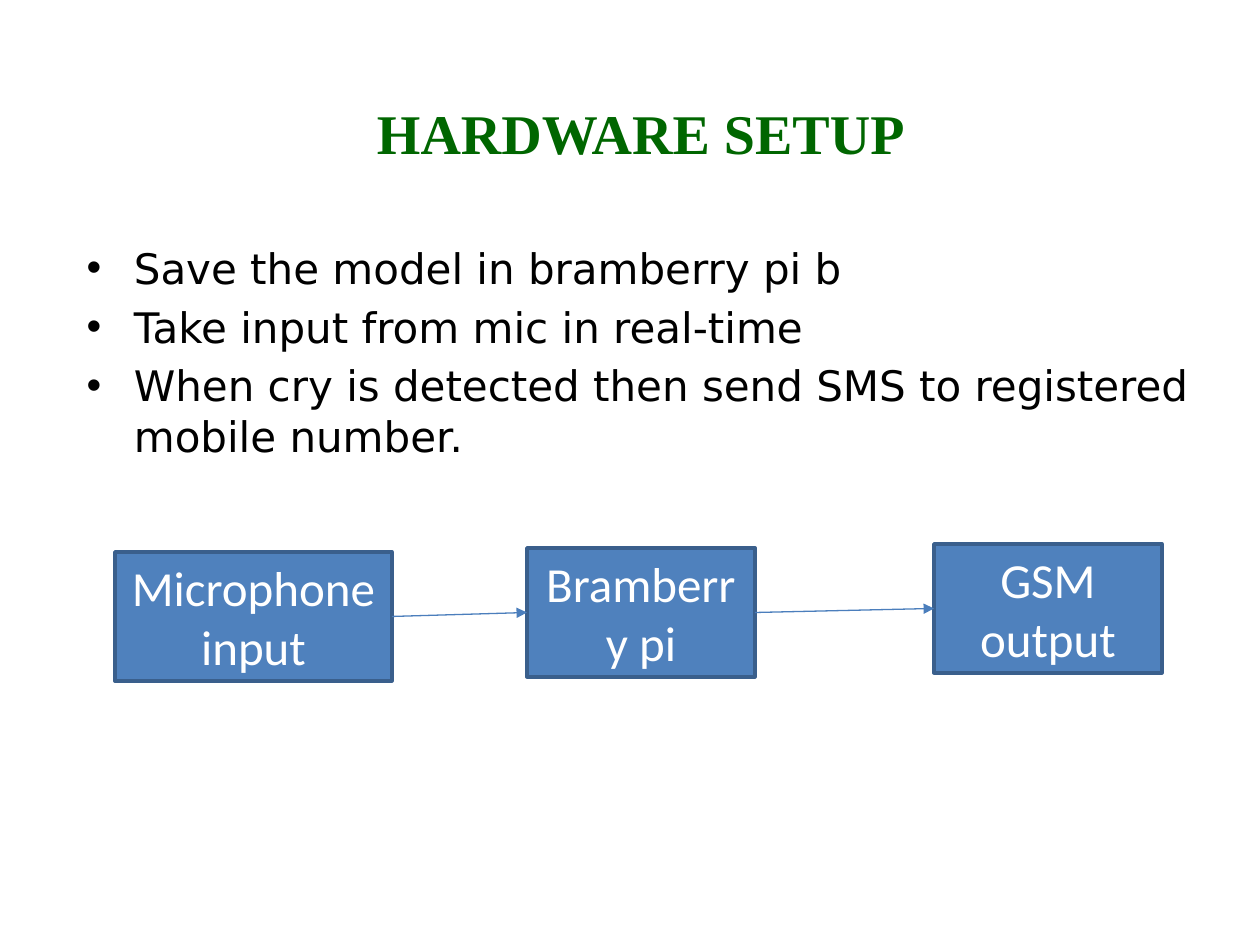
import pptx
import pptx.dml.color
import pptx.enum.shapes
import pptx.enum.text
import pptx.oxml
import pptx.oxml.ns
import pptx.util

EMU_PER_PX = 914400 / 126
COLORS = {
    "title": "006600",
    "body": "000000",
    "box": "4F81BD",
    "outline": "3A5F8C",
    "arrow": "4B7EBC",
    "label": "FFFFFF",
}
ALIGN = pptx.enum.text.PP_ALIGN
ANCHOR = pptx.enum.text.MSO_ANCHOR


def px(length):
    return pptx.util.Emu(round(length * EMU_PER_PX))


def color(name):
    return pptx.dml.color.RGBColor.from_string(COLORS[name])


def place(shape, box):
    shape.left, shape.top, shape.width, shape.height = map(px, box)


def write(para, text, *, font, size, fill, bold=False, align=None):
    span = para.add_run()
    span.text = text
    span.font.name = font
    span.font.size = pptx.util.Pt(size)
    span.font.bold = bold
    span.font.color.rgb = color(fill)
    para.alignment = align


def add_title(page, box, text):
    title = page.shapes.title
    place(title, box)
    title.text_frame.vertical_anchor = ANCHOR.MIDDLE
    write(title.text_frame.paragraphs[0], text, font="Times New Roman",
          size=32, fill="title", bold=True, align=ALIGN.CENTER)


def add_list(page, box, items):
    body = page.placeholders[1]
    place(body, box)
    frame = body.text_frame
    for index, item in enumerate(items):
        para = frame.add_paragraph() if index else frame.paragraphs[0]
        write(para, item, font="DejaVu Sans", size=24, fill="body")


def add_stage(page, box, text):
    stage = page.shapes.add_shape(
        pptx.enum.shapes.MSO_SHAPE.RECTANGLE, *map(px, box))
    stage.shadow.inherit = False
    stage.fill.solid()
    stage.fill.fore_color.rgb = color("box")
    stage.line.color.rgb = color("outline")
    stage.line.width = pptx.util.Pt(2)
    stage.text_frame.word_wrap = True
    stage.text_frame.vertical_anchor = ANCHOR.MIDDLE
    write(stage.text_frame.paragraphs[0], text, font="Calibri",
          size=28, fill="label", align=ALIGN.CENTER)
    return stage


def add_arrow(page, start, end):
    arrow = page.shapes.add_connector(
        pptx.enum.shapes.MSO_CONNECTOR.STRAIGHT, 0, 0, 0, 0)
    arrow.begin_connect(start, 3)
    arrow.end_connect(end, 1)
    arrow.line.color.rgb = color("arrow")
    arrow.line.width = pptx.util.Pt(0.75)
    # Arrowhead, and an empty effect list to drop the shadow
    head = pptx.oxml.parse_xml(
        f'<a:tailEnd {pptx.oxml.ns.nsdecls("a")} type="triangle"/>')
    arrow.line._get_or_add_ln().append(head)
    effects = pptx.oxml.parse_xml(
        f'<a:effectLst {pptx.oxml.ns.nsdecls("a")}/>')
    arrow._element.spPr.append(effects)


def add_flow(page, box, stages):
    left, top, _, height = box
    shapes = [add_stage(page, (left + x, top + y, width, height), text)
              for text, x, y, width in stages]
    for start, end in zip(shapes, shapes[1:]):
        add_arrow(page, start, end)


def main():
    deck = pptx.Presentation()
    deck.slide_width, deck.slide_height = px(1260), px(945)
    page = deck.slides.add_slide(deck.slide_layouts[1])

    # Heading and steps
    add_title(page, (74, 53, 1134, 158), "HARDWARE SETUP")
    add_list(page, (74, 236, 1134, 624), [
        "Save the model in bramberry pi b",
        "Take input from mic in real-time",
        "When cry is detected then send SMS to registered mobile number.",
    ])

    # Signal flow: text, offset from the region's corner, width
    add_flow(page, (115, 544, 1047, 129), [
        ("Microphone input", 0, 8, 277),
        ("Bramberry pi", 412, 4, 228),
        ("GSM output", 819, 0, 228),
    ])
    deck.save("out.pptx")


if __name__ == "__main__":
    main()
